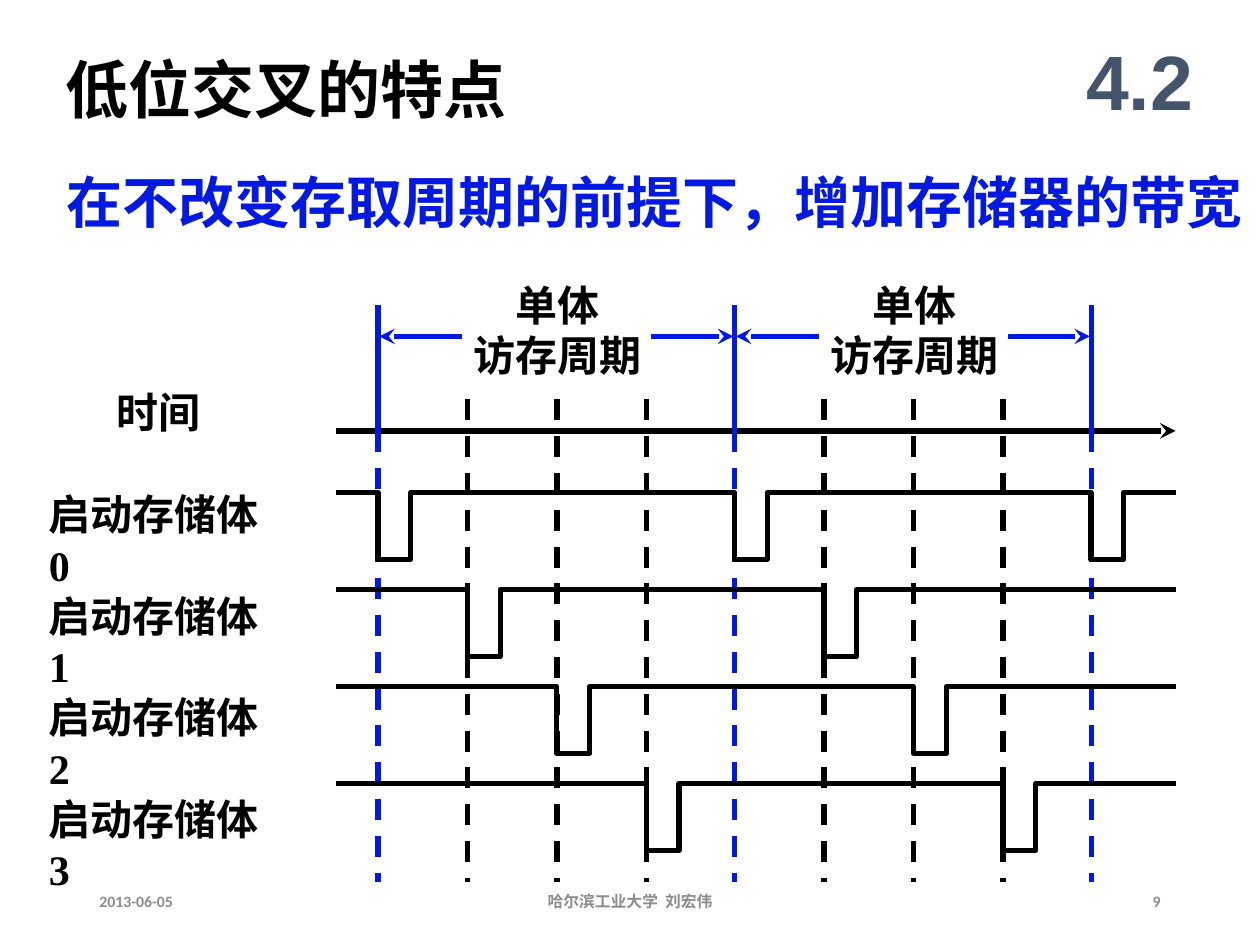
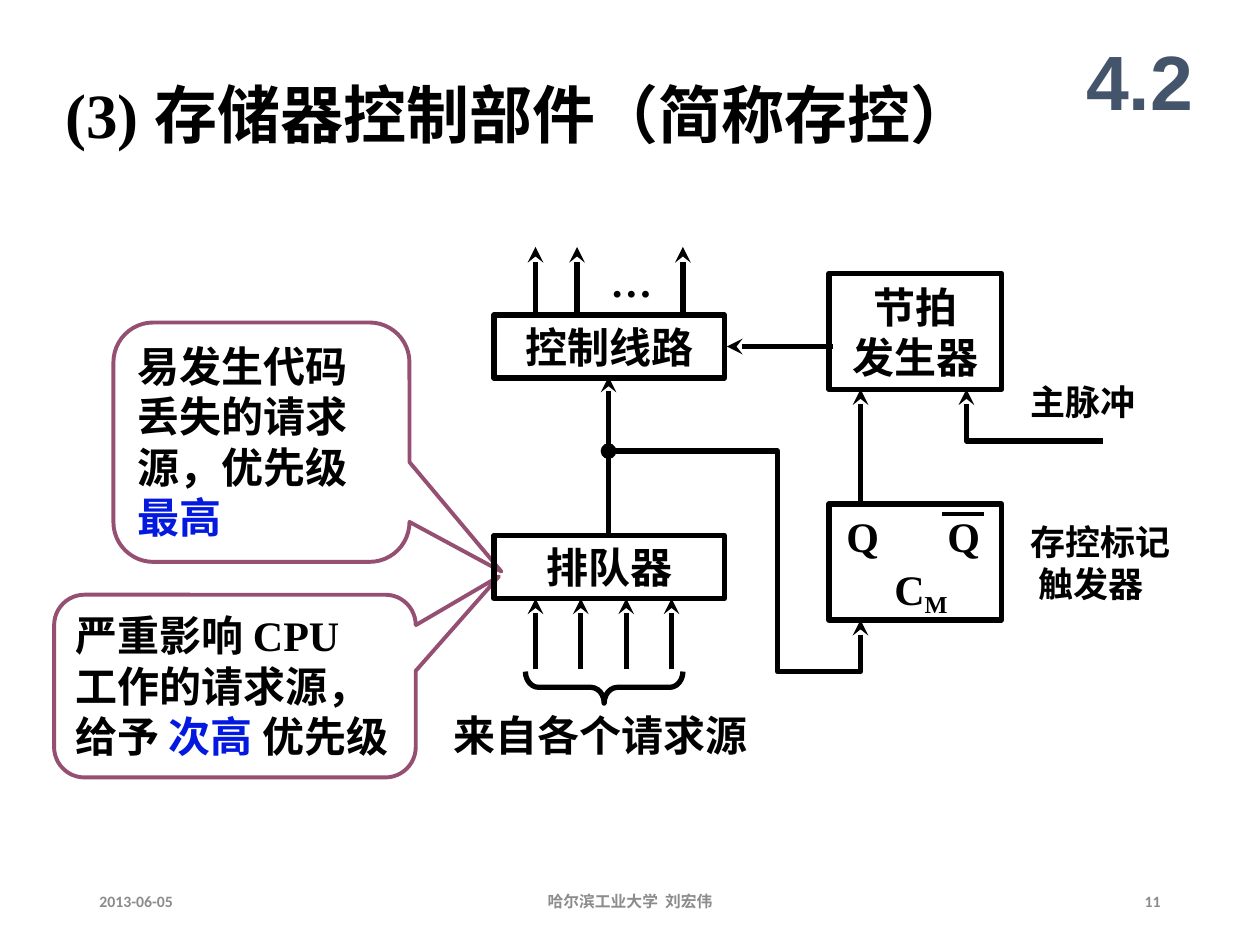
"""Build two slides on low-order interleaving and the memory controller."""
from lxml import etree
from pptx import Presentation
from pptx.dml.color import RGBColor
from pptx.enum import dml, shapes, text
from pptx.oxml.ns import qn
from pptx.util import Inches, Pt

BLACK = RGBColor(0x00, 0x00, 0x00)
WHITE = RGBColor(0xFF, 0xFF, 0xFF)
BLUE = RGBColor(0x04, 0x19, 0xE0)
SLATE = RGBColor(0x44, 0x54, 0x6A)
GRAY = RGBColor(0x8C, 0x8C, 0x8C)
PLUM = RGBColor(0x95, 0x4F, 0x72)
LEFT, CENTER, RIGHT = text.PP_ALIGN.LEFT, text.PP_ALIGN.CENTER, text.PP_ALIGN.RIGHT
TOP, MIDDLE = text.MSO_ANCHOR.TOP, text.MSO_ANCHOR.MIDDLE
SHAPE = shapes.MSO_SHAPE


def write_text(shape, paragraphs, size=24, color=BLACK, font="Times New Roman",
               align=LEFT, anchor=TOP, wrap=False):
    """Fill a shape with paragraphs, each a list of (text, color or None) runs."""
    frame = shape.text_frame
    frame.auto_size = text.MSO_AUTO_SIZE.NONE
    frame.word_wrap = wrap
    frame.vertical_anchor = anchor
    for index, runs in enumerate(paragraphs):
        paragraph = frame.paragraphs[0] if index == 0 else frame.add_paragraph()
        paragraph.alignment = align
        for words, run_color in runs:
            run = paragraph.add_run()
            run.text = words
            run.font.size = Pt(size)
            run.font.name = font
            run.font.bold = True
            run.font.color.rgb = run_color or color


def draw_line(slide, points, color=BLACK, width=3, dashed=False, head=None, tail=None):
    """Draw a connector through two points or an open outline through more."""
    corners = [(Inches(x), Inches(y)) for x, y in points]
    if len(corners) == 2:
        line = slide.shapes.add_connector(shapes.MSO_CONNECTOR.STRAIGHT, *corners[0], *corners[1])
    else:
        builder = slide.shapes.build_freeform(*corners[0], scale=1.0)
        builder.add_line_segments(corners[1:], close=False)
        line = builder.convert_to_shape()
        line.fill.background()
    line.line.color.rgb = color
    line.line.width = Pt(width)
    if dashed:
        line.line.dash_style = dml.MSO_LINE.DASH
    properties = line.element.spPr
    outline = properties.find(qn("a:ln"))
    for tag, arrow in (("a:headEnd", head), ("a:tailEnd", tail)):
        if arrow:
            etree.SubElement(outline, qn(tag), type=arrow)
    etree.SubElement(properties, qn("a:effectLst"))


presentation = Presentation()
presentation.slide_width = Inches(10)
presentation.slide_height = Inches(7.5)
title_layout = presentation.slide_layouts[5]

slides = []
for title, title_box, number in (
    ("低位交叉的特点", (0.42, 0.35, 3.71, 0.7), "9"),
    ("(3) 存储器控制部件（简称存控）", (0.42, 0.55, 8.25, 0.7), "11"),
):
    slide = presentation.slides.add_slide(title_layout)
    heading = slide.shapes.title
    heading.left, heading.top, heading.width, heading.height = map(Inches, title_box)
    write_text(heading, [[(title, None)]], size=36, wrap=True)
    for words, box, size, color, font, align in (
        ("4.2", (8.42, 0.17, 1.25, 0.92), 44, SLATE, "Arial", CENTER),
        ("2013-06-05", (0.69, 6.95, 2.25, 0.4), 9, GRAY, "Calibri", LEFT),
        ("哈尔滨工业大学  刘宏伟", (3.31, 6.95, 3.38, 0.4), 9, GRAY, "Calibri", CENTER),
        (number, (7.06, 6.95, 2.25, 0.4), 9, GRAY, "Calibri", RIGHT),
    ):
        label = slide.shapes.add_textbox(*map(Inches, box))
        write_text(label, [[(words, None)]], size, color, font, align, MIDDLE, True)
    slides.append(slide)
timing_slide, control_slide = slides

PERIOD = 2.83
PHASE = 0.71
FIRST_PULSE = 3
PULSE_WIDTH = 0.26
PULSE_DEPTH = 0.53
AXIS_START, AXIS_END = 2.67, 9.33

subtitle = timing_slide.shapes.add_textbox(*map(Inches, (0.43, 1.28, 9.57, 0.63)))
write_text(subtitle, [[("在不改变存取周期的前提下，增加存储器的带宽", None)]], size=32, color=BLUE)
time_label = timing_slide.shapes.add_textbox(*map(Inches, (0.83, 3.02, 0.87, 0.5)))
write_text(time_label, [[("时间", None)]])

for bank in range(4):
    pulses = [FIRST_PULSE + PHASE * bank + PERIOD * cycle for cycle in range(3 if bank == 0 else 2)]
    for x in pulses:
        draw_line(timing_slide, [(x, 3.42 if bank == 0 else 3.17), (x, 7)],
                  BLUE if bank == 0 else BLACK, dashed=True)
    high = 3.91 + 0.77 * bank
    low = high + PULSE_DEPTH
    wave = [(AXIS_START, high)]
    for x in pulses:
        wave += [(x, high), (x, low), (x + PULSE_WIDTH, low), (x + PULSE_WIDTH, high)]
    draw_line(timing_slide, wave + [(AXIS_END, high)])
    bank_label = timing_slide.shapes.add_textbox(*map(Inches, (0.29, 3.83 + 0.805 * bank, 2.14, 0.5)))
    bank_label.text_frame.margin_right = Inches(0.2)
    write_text(bank_label, [[(f"启动存储体 {bank}", None)]], wrap=True)

draw_line(timing_slide, [(AXIS_START, 3.42), (AXIS_END, 3.42)], tail="stealth")
for cycle in range(3):
    x = FIRST_PULSE + PERIOD * cycle
    draw_line(timing_slide, [(x, 2.42), (x, 3.5)], BLUE)
for cycle in range(2):
    start = FIRST_PULSE + PERIOD * cycle
    period_label = timing_slide.shapes.add_textbox(*map(Inches, (start + 0.65, 2.17, 1.55, 0.9)))
    write_text(period_label, [[("单体", None)], [("访存周期", None)]], align=CENTER)
    for inner, outer in ((0.67, 0.01), (2.17, PERIOD - 0.01)):
        draw_line(timing_slide, [(start + inner, 2.67), (start + outer, 2.67)], BLUE, tail="stealth")

for box, tip, paragraphs, wrap in (
    ((0.9, 2.56, 2.35, 1.9), (0.81, 0.54),
     [[("易发生代码", None)], [("丢失的请求源，优先级", None)], [("最高", BLUE)]], True),
    ((0.43, 4.72, 2.87, 1.45), (0.73, -0.6),
     [[("严重影响 CPU", None)], [("工作的请求源，", None)],
      [("给予 ", None), ("次高 ", BLUE), ("优先级", None)]], False),
):
    callout = control_slide.shapes.add_shape(SHAPE.ROUNDED_RECTANGULAR_CALLOUT, *map(Inches, box))
    callout.adjustments[0], callout.adjustments[1] = tip
    callout.fill.background()
    callout.line.color.rgb = PLUM
    callout.line.width = Pt(2.25)
    callout.shadow.inherit = False
    write_text(callout, paragraphs, wrap=wrap)

for box, lines in (
    ((3.92, 2.5, 1.83, 0.5), ["控制线路"]),
    ((3.92, 4.25, 1.83, 0.5), ["排队器"]),
    ((6.58, 2.17, 1.37, 0.92), ["节拍", "发生器"]),
    ((6.58, 4, 1.37, 0.92), []),
):
    unit = control_slide.shapes.add_shape(SHAPE.RECTANGLE, *map(Inches, box))
    unit.fill.background()
    unit.line.color.rgb = BLACK
    unit.line.width = Pt(3)
    unit.shadow.inherit = False
    write_text(unit, [[(line, None)] for line in lines], align=CENTER, anchor=MIDDLE)

brace = control_slide.shapes.add_shape(SHAPE.LEFT_BRACE, *map(Inches, (4.67, 4.83, 0.25, 1.25)))
brace.rotation = 270
brace.adjustments[0] = 0.42
brace.fill.background()
brace.line.color.rgb = BLACK
brace.line.width = Pt(3)
brace.shadow.inherit = False

for box, lines, size, align in (
    ((6.62, 4, 0.46, 0.5), ["Q"], 24, LEFT),
    ((7.42, 4, 0.46, 0.5), ["Q"], 24, LEFT),
    ((3.5, 5.58, 2.56, 0.5), ["来自各个请求源"], 24, LEFT),
    ((4.74, 1.98, 0.54, 0.5), ["…"], 24, CENTER),
    ((8.08, 2.97, 1.04, 0.43), ["主脉冲"], 20, LEFT),
    ((8.08, 4.08, 1.3, 0.77), ["存控标记", " 触发器"], 20, LEFT),
):
    label = control_slide.shapes.add_textbox(*map(Inches, box))
    write_text(label, [[(line, None)] for line in lines], size, align=align)

flag_label = control_slide.shapes.add_textbox(*map(Inches, (7, 4.42, 0.65, 0.5)))
write_text(flag_label, [[("C", None), ("M", None)]])
subscript = flag_label.text_frame.paragraphs[0].runs[1]
subscript.font._element.set("baseline", "-20000")

draw_line(control_slide, [(7.48, 4.08), (7.81, 4.08)], width=2.25)
for x in (4.25, 4.58, 5.42):
    draw_line(control_slide, [(x, 2.52), (x, 1.96)], tail="stealth")
for request in range(4):
    x = 4.25 + 0.36 * request
    draw_line(control_slide, [(x, 5.31), (x, 4.75)], tail="stealth")
for points in (
    [(4.83, 4.25), (4.83, 2.99)],
    [(6.83, 4), (6.83, 3.09)],
    [(6.61, 2.75), (5.77, 2.75)],
    [(8.75, 3.5), (7.67, 3.5), (7.67, 3.09)],
):
    draw_line(control_slide, points, tail="stealth")
draw_line(control_slide, [(6.83, 4.92), (6.83, 5.33), (6.17, 5.33), (6.17, 3.58), (4.83, 3.58)],
          head="stealth", tail="oval")

presentation.save("out.pptx")
